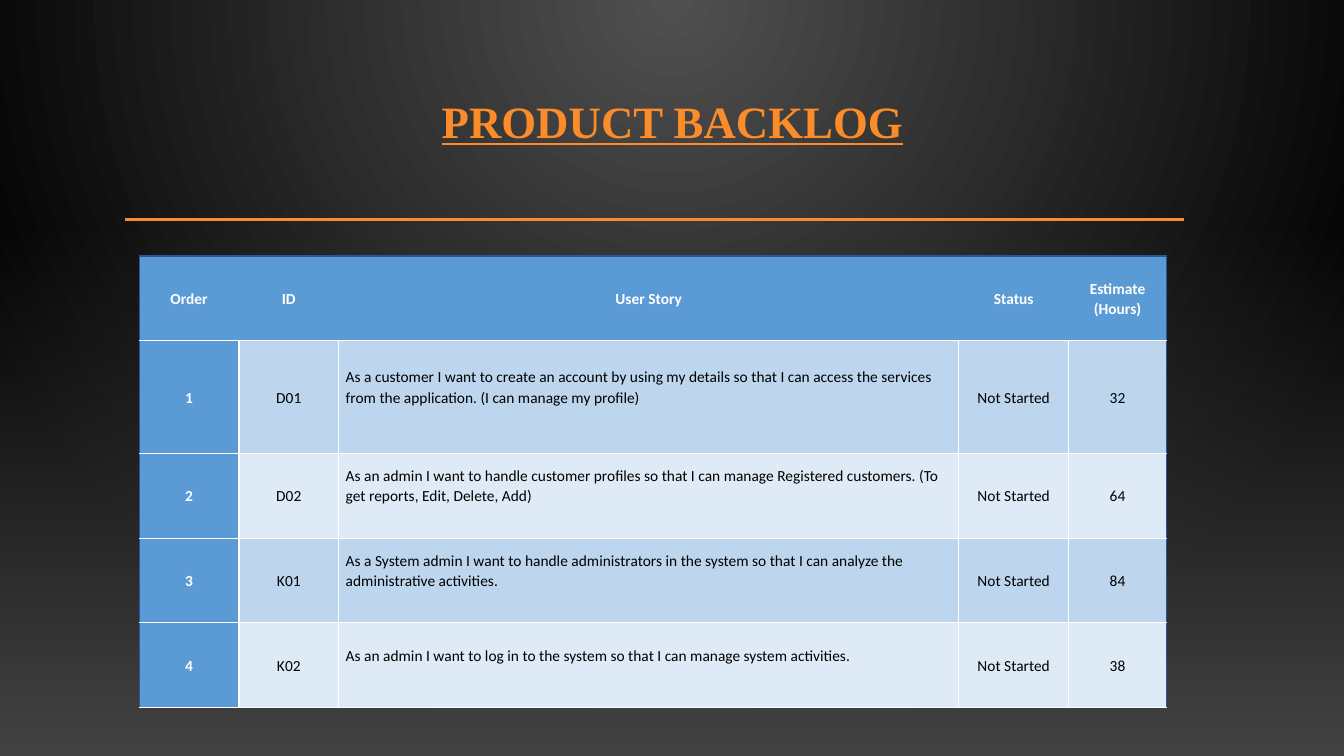
from pptx import Presentation
from pptx.dml.color import RGBColor
from pptx.enum.shapes import MSO_CONNECTOR as Conn, MSO_SHAPE as Shape
from pptx.enum.text import MSO_ANCHOR as Anchor, PP_ALIGN as Align
from pptx.oxml.ns import qn
from pptx.oxml.xmlchemy import OxmlElement as Elem
from pptx.util import Pt

EMU = 9144  # one px is a hundredth of an inch
WIDE, HIGH = 1333, 750
ORANGE, WHITE, BLACK = "FB8C29", "FFFFFF", "000000"
BLUE, NAVY = "5B9BD5", "2F5496"
BANDS = "BDD6EE", "DEEAF6"

HEAD = ["Order", "ID", "User Story", "Status", "Estimate\n(Hours)"]
STORIES = [
    ("D01", "As a customer I want to create an account by using my details so that "
            "I can access the services from the application. (I can manage my profile)", 32),
    ("D02", "As an admin I want to handle customer profiles so that I can manage "
            "Registered customers. (To get reports, Edit, Delete, Add)", 64),
    ("K01", "As a System admin I want to handle administrators in the system so that "
            "I can analyze the administrative activities.", 84),
    ("K02", "As an admin I want to log in to the system so that I can manage "
            "system activities.", 38),
]
COLS = [99, 99, 615, 109, 97]
ROWS = [84, 112, 84, 84, 84]
STORY = 2  # column of the user stories


def px(*sizes):
    return [size * EMU for size in sizes]


def hue(code):
    return RGBColor.from_string(code)


def child(parent, tag, **attrs):
    node = Elem(tag)
    for key, value in attrs.items():
        node.set(key, str(value))
    parent.append(node)
    return node


def blend(fill, first, last):
    fill.gradient()
    for stop, code in zip(fill.gradient_stops, (first, last)):
        stop.color.rgb = hue(code)


def add_glow(slide):
    blend(slide.background.fill, "505050", BLACK)
    grad = slide.element.find(".//" + qn("a:gradFill"))
    grad.remove(grad.find(qn("a:lin")))
    ring = child(grad, "a:path", path="circle")
    child(ring, "a:fillToRect", l=43000, t=0, r=43000, b=100000)


def add_shade(slide, *box):
    shade = slide.shapes.add_shape(Shape.RECTANGLE, *px(*box))
    shade.shadow.inherit = False
    shade.line.fill.background()
    blend(shade.fill, "454545", "454545")
    shade.fill.gradient_angle = 270
    child(shade.element.find(".//" + qn("a:srgbClr")), "a:alpha", val=0)


def add_rule(slide, *ends):
    rule = slide.shapes.add_connector(Conn.STRAIGHT, *px(*ends))
    rule.line.color.rgb = hue(ORANGE)
    rule.line.width = Pt(2.5)
    child(rule.element.spPr, "a:effectLst")


def style(para, name, size, code, bold, align, gap):
    para.alignment, para.line_spacing = align, gap
    font = para.font
    font.name, font.size, font.bold = name, Pt(size), bold
    font.color.rgb = hue(code)


def add_title(slide, text, *box):
    frame = slide.shapes.add_textbox(*px(*box)).text_frame
    frame.word_wrap = True
    frame.vertical_anchor = Anchor.MIDDLE
    frame.margin_bottom, = px(53)
    frame.text = text
    para = frame.paragraphs[0]
    style(para, "Times New Roman", 32, ORANGE, True, Align.CENTER, 0.9)
    para.font.underline = True


def edge(cell, sides):
    props = cell._tc.get_or_add_tcPr()
    for spot, (side, code) in enumerate(sides.items()):
        line = Elem("a:ln" + side)
        line.set("w", str(Pt(1)))
        if code:
            child(child(line, "a:solidFill"), "a:srgbClr", val=code)
        else:
            child(line, "a:noFill")
        props.insert(spot, line)


def fill_cell(cell, row, col, text):
    head, story = row == 0, row > 0 and col == STORY
    strong = head or col == 0
    cell.text = str(text)
    cell.vertical_anchor = Anchor.MIDDLE
    cell.margin_left, cell.margin_right, cell.margin_top = px(7, 7, 0)
    cell.margin_bottom, = px(20 if story else 0)
    for para in cell.text_frame.paragraphs:
        style(para, "Calibri", 11, WHITE if strong else BLACK, strong,
              Align.LEFT if story else Align.CENTER, 1.07)
    cell.fill.solid()
    cell.fill.fore_color.rgb = hue(BLUE if strong else BANDS[(row - 1) % 2])
    inner = None if head else WHITE
    edge(cell, {"L": NAVY if col == 0 else inner,
                "R": NAVY if col == len(COLS) - 1 else inner,
                "T": NAVY if head else WHITE,
                "B": WHITE})


def add_backlog(slide, left, top):
    table = slide.shapes.add_table(
        len(ROWS), len(COLS), *px(left, top, sum(COLS), sum(ROWS))).table
    for col, size in zip(table.columns, px(*COLS)):
        col.width = size
    for row, size in zip(table.rows, px(*ROWS)):
        row.height = size
    body = [(order, code, story, "Not Started", hours)
            for order, (code, story, hours) in enumerate(STORIES, 1)]
    for row, texts in enumerate([HEAD, *body]):
        for col, text in enumerate(texts):
            fill_cell(table.cell(row, col), row, col, text)


def main():
    deck = Presentation()
    deck.slide_width, deck.slide_height = px(WIDE, HIGH)
    slide = deck.slides.add_slide(deck.slide_layouts[6])
    # Backdrop
    add_glow(slide)
    add_shade(slide, 0, 221, WIDE, 529)
    # Heading
    add_title(slide, "PRODUCT BACKLOG", 159, 88, 1016, 119)
    add_rule(slide, 124, 218, 1174, 218)
    # Backlog table
    add_backlog(slide, 138, 254)
    deck.save("out.pptx")


if __name__ == "__main__":
    main()
